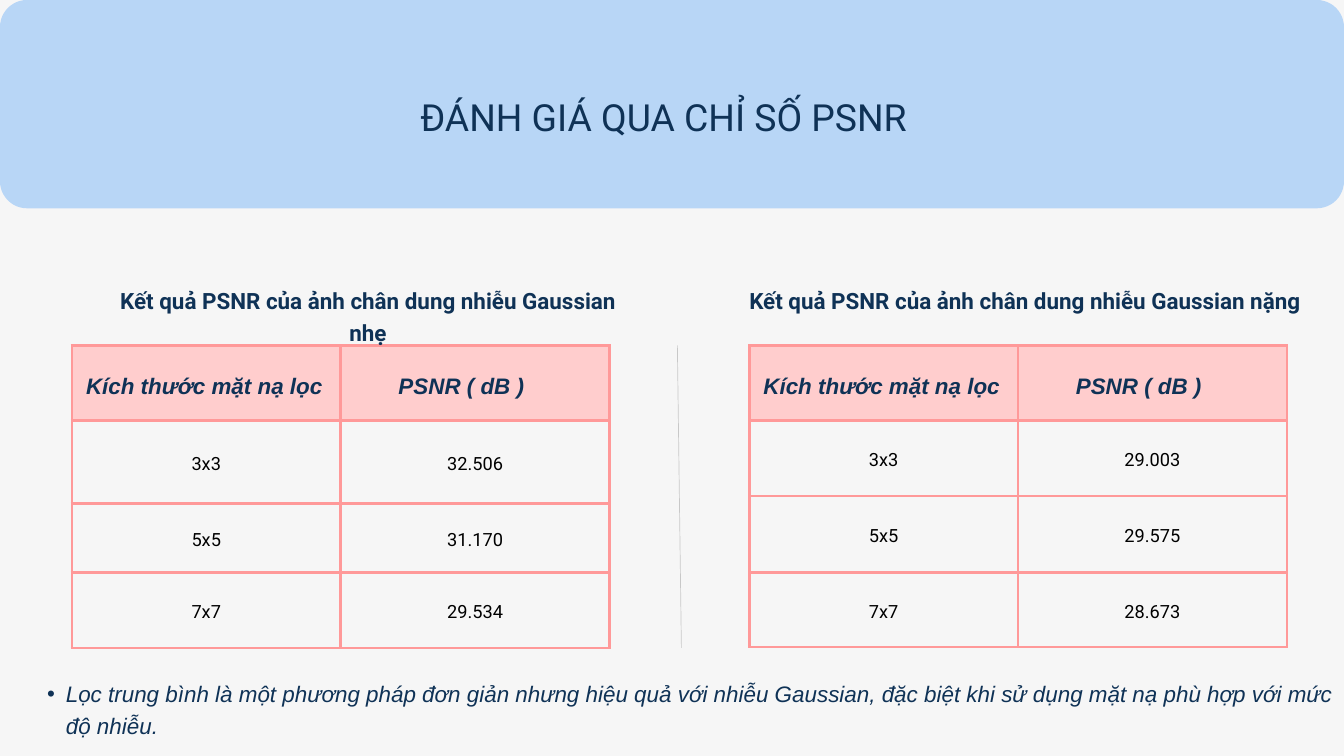
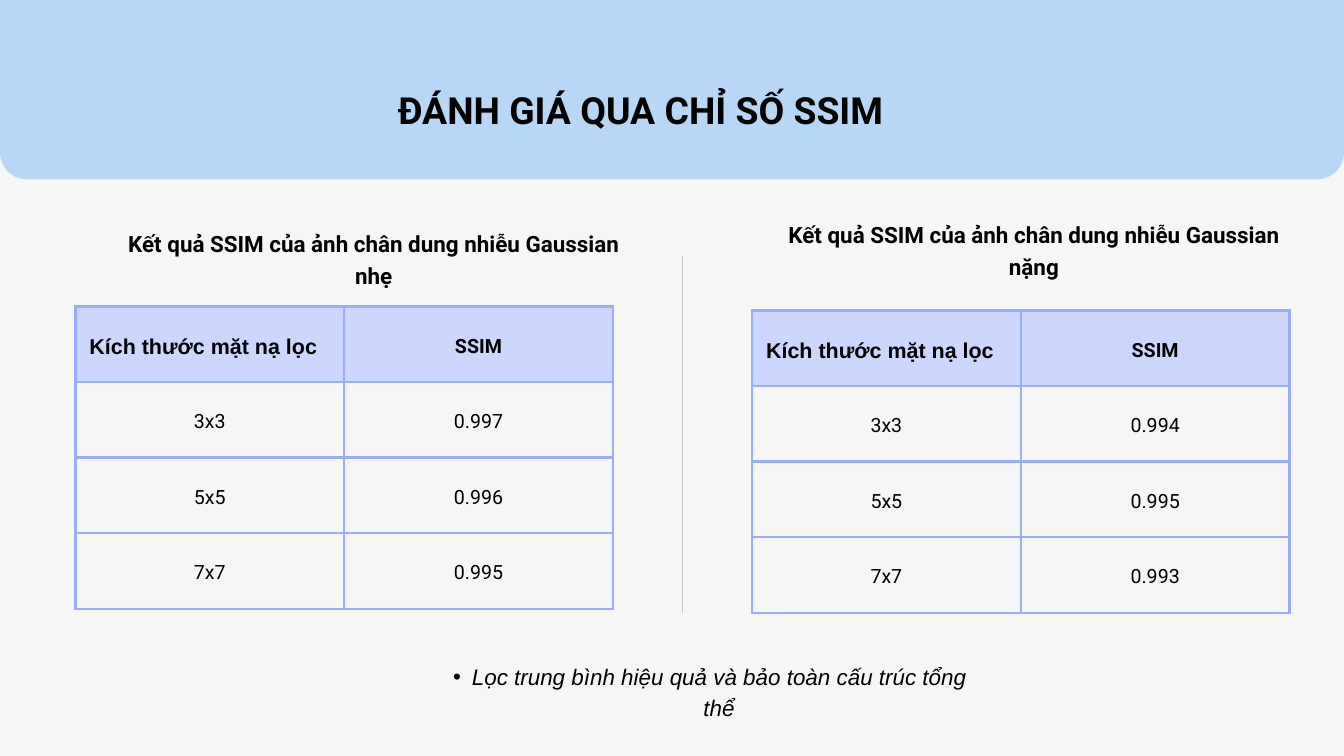
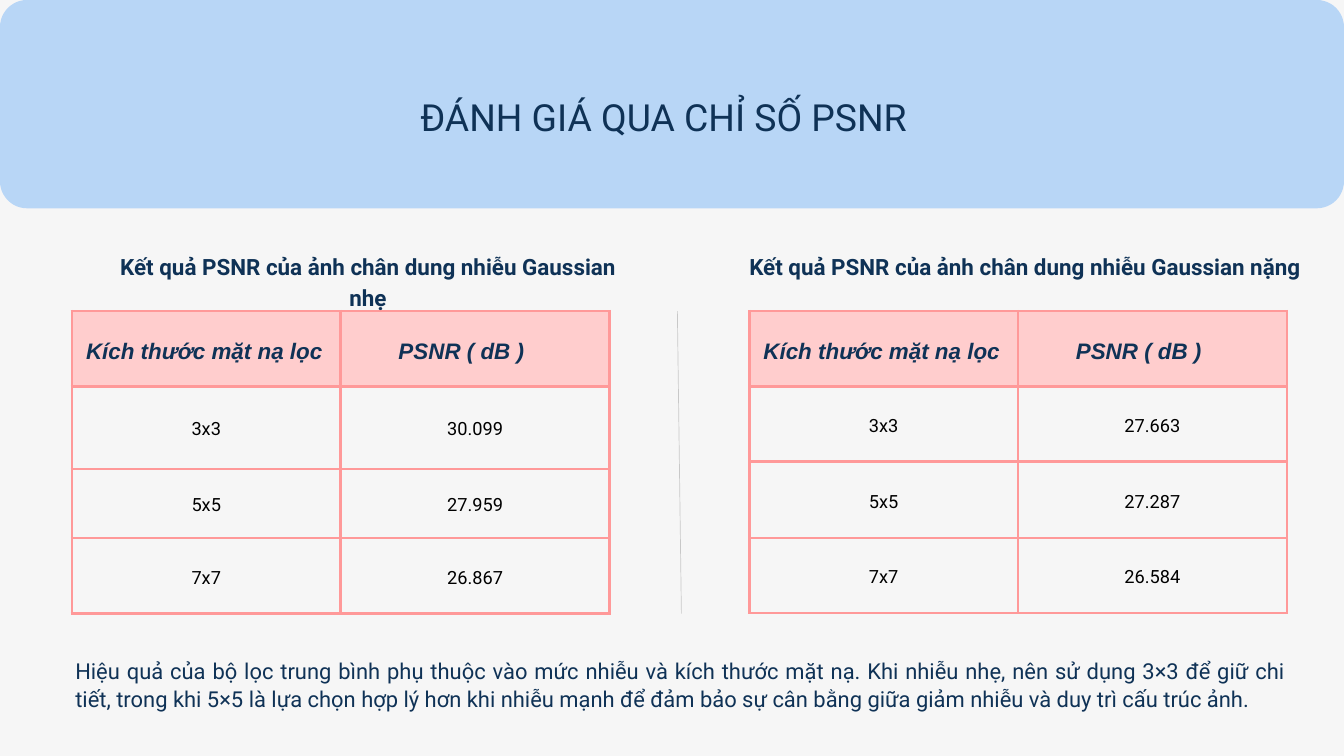
"""Build three slides that compare PSNR and SSIM results of mean filtering."""
from lxml import etree
from pptx import Presentation
from pptx import util as u
from pptx.dml.color import RGBColor
from pptx.enum import shapes, text
from pptx.oxml import ns

PAPER = RGBColor(0xF6, 0xF6, 0xF6)
SKY = RGBColor(0xB8, 0xD6, 0xF6)
NAVY = RGBColor(0x0F, 0x32, 0x56)
BLACK = RGBColor(0, 0, 0)
GREY = RGBColor(0xC8, 0xC8, 0xC8)
PINK = RGBColor(0xFF, 0xCD, 0xCD)
CORAL = RGBColor(0xFF, 0x99, 0x99)
LILAC = RGBColor(0xCD, 0xD6, 0xFF)
PERIWINKLE = RGBColor(0x99, 0xAC, 0xFF)

LEFT = text.PP_ALIGN.LEFT
CENTER = text.PP_ALIGN.CENTER
JUSTIFY = text.PP_ALIGN.JUSTIFY
MASKS = ["3x3", "5x5", "7x7"]
MASK_HEADING = "Kích thước mặt nạ lọc"
CAPTION = "Kết quả {} của ảnh chân dung nhiễu Gaussian {}"
EVEN_ROWS = [4.5 / 4] * 4


def add_xml(parent, tag, **attributes):
    return etree.SubElement(parent, ns.qn(tag), attributes)


def write(frame, words, size=24, font="Roboto", color=NAVY, bold=False, italic=False,
          align=CENTER, leading=1.4, bullet=None, indent=0.0, hanging=0.0):
    """Write one formatted paragraph; leading is a multiple of the size."""
    para = frame.paragraphs[0]
    para.alignment = align
    para.line_spacing = u.Pt(round(size * leading, 1))
    para.space_before = u.Pt(0)
    properties = para._p.get_or_add_pPr()
    properties.set("marL", str(u.Inches(indent)))
    properties.set("indent", str(u.Inches(-hanging)))
    if bullet:
        para.level = 1
        add_xml(properties, "a:buFont", typeface="Arial")
        add_xml(properties, "a:buChar", char=bullet)
    else:
        add_xml(properties, "a:buNone")
    span = para.add_run()
    span.text = words
    span.font.size = u.Pt(size)
    span.font.name = font
    span.font.color.rgb = color
    span.font.bold = bold
    span.font.italic = italic


class Sheet:
    """Hold the colours of a slide and add its elements."""

    def __init__(self, deck, ink, head_fill, border):
        self.ink, self.head_fill, self.border = ink, head_fill, border
        self.page = deck.slides.add_slide(deck.slide_layouts[1])
        self.page.background.fill.solid()
        self.page.background.fill.fore_color.rgb = PAPER

    def band(self, top):
        box = self.page.shapes.add_shape(
            shapes.MSO_SHAPE.ROUNDED_RECTANGLE, 0, u.Inches(top), u.Inches(20), u.Inches(3.1))
        box.adjustments[0] = 0.13
        box.shadow.inherit = False
        box.fill.solid()
        box.fill.fore_color.rgb = SKY
        box.line.fill.background()
        self.page.shapes.title._element.addprevious(box._element)

    def fill_box(self, box, place, words, **style):
        box.left, box.top, box.width, box.height = map(u.Inches, place)
        frame = box.text_frame
        frame.margin_left = frame.margin_right = frame.margin_top = frame.margin_bottom = 0
        frame.word_wrap = True
        frame.vertical_anchor = text.MSO_ANCHOR.TOP
        frame.auto_size = text.MSO_AUTO_SIZE.SHAPE_TO_FIT_TEXT
        write(frame, words, **{"color": self.ink, **style})

    def title(self, place, words, **style):
        self.fill_box(self.page.shapes.title, place, words, size=40, **style)

    def note(self, place, words, **style):
        self.fill_box(self.page.placeholders[1], place, words, **style)

    def bullet_note(self, place, words, align):
        self.note(place, words, font="Arial", italic=True, align=align,
                  bullet="•", indent=0.57, hanging=0.28)

    def caption(self, place, words):
        self.fill_box(self.page.shapes.add_textbox(0, 0, 0, 0), place, words, bold=True)

    def divider(self, x1, y1, x2, y2):
        line = self.page.shapes.add_connector(
            shapes.MSO_CONNECTOR.STRAIGHT, *map(u.Inches, (x1, y1, x2, y2)))
        line.line.color.rgb = GREY
        line.line.width = u.Pt(0.75)
        add_xml(line._element.spPr, "a:effectLst")

    def outline(self, cell):
        for side in ("a:lnL", "a:lnR", "a:lnT", "a:lnB"):
            edge = add_xml(cell._tc.get_or_add_tcPr(), side, w=str(u.Pt(3)))
            add_xml(add_xml(edge, "a:solidFill"), "a:srgbClr", val=str(self.border))

    def results(self, left, top, heights, headings, values, body_size):
        frame = self.page.shapes.add_table(
            4, 2, u.Inches(left), u.Inches(top), u.Inches(8), u.Inches(sum(heights)))
        table = frame.table
        table.first_row = table.horz_banding = False
        for row, height in zip(table.rows, heights):
            row.height = u.Inches(height)
        body = [(words, {"size": body_size, "color": BLACK})
                for pair in zip(MASKS, values) for words in pair]
        for index, (cell, (words, style)) in enumerate(zip(table.iter_cells(), headings + body)):
            cell.margin_left = cell.margin_right = u.Inches(0.21)
            cell.margin_top = cell.margin_bottom = u.Inches(0.21)
            cell.vertical_anchor = text.MSO_ANCHOR.MIDDLE
            self.outline(cell)
            if index < 2:
                cell.fill.solid()
                cell.fill.fore_color.rgb = self.head_fill
            else:
                cell.fill.background()
            write(cell.text_frame, words, **style)


def add_psnr(deck, top, light, heavy):
    """Add a PSNR slide whose tables start at the given top."""
    sheet = Sheet(deck, NAVY, PINK, CORAL)
    sheet.band(0)
    sheet.title((6.25, 1.29, 7.25, 0.74), "ĐÁNH GIÁ QUA CHỈ SỐ PSNR")
    sheet.divider(10.08, top, 10.14, top + 4.5)
    head = {"font": "Arial", "bold": True, "italic": True, "align": LEFT}
    headings = [(MASK_HEADING, head), ("PSNR ( dB )", {**head, "indent": 0.65})]
    sheet.results(11.15, top, [1.12, 1.12, 1.14, 1.11], headings, heavy, 19.5)
    sheet.results(1.07, top, [1.12, 1.23, 1.03, 1.12], headings, light, 19.5)
    sheet.caption((1.47, top - 0.93, 8.01, 0.45), CAPTION.format("PSNR", "nhẹ"))
    sheet.caption((11.15, top - 0.93, 8.2, 0.45), CAPTION.format("PSNR", "nặng"))
    return sheet


def add_ssim(deck, light, heavy):
    """Add the SSIM slide."""
    sheet = Sheet(deck, BLACK, LILAC, PERIWINKLE)
    sheet.band(-0.43)
    sheet.title((-0.47, 1.18, 20, 0.74), "ĐÁNH GIÁ QUA CHỈ SỐ SSIM", bold=True)
    sheet.divider(10.16, 3.81, 10.16, 9.12)
    head = {"color": BLACK, "bold": True}
    headings = [(MASK_HEADING, {**head, "size": 23, "font": "Arial", "align": LEFT}),
                ("SSIM", {**head, "size": 21})]
    sheet.results(1.12, 4.56, EVEN_ROWS, headings, light, 21)
    sheet.results(11.19, 4.62, EVEN_ROWS, headings, heavy, 21)
    sheet.caption((1.59, 3.36, 7.94, 0.45), CAPTION.format("SSIM", "nhẹ"))
    sheet.caption((11.58, 3.23, 7.61, 0.91), CAPTION.format("SSIM", "nặng"))
    return sheet


def main():
    """Build and save the deck."""
    deck = Presentation()
    deck.slide_width, deck.slide_height = u.Inches(20), u.Inches(11.25)

    sheet = add_psnr(deck, 5.14, ["32.506", "31.170", "29.534"], ["29.003", "29.575", "28.673"])
    sheet.bullet_note(
        (0.41, 10.06, 19.83, 0.91),
        "Lọc trung bình là một phương pháp đơn giản nhưng hiệu quả với nhiễu Gaussian, "
        "đặc biệt khi sử dụng mặt nạ phù hợp với mức độ nhiễu.", LEFT)

    sheet = add_ssim(deck, ["0.997", "0.996", "0.995"], ["0.994", "0.995", "0.993"])
    sheet.bullet_note((6.27, 9.8, 8.29, 0.91),
                      "Lọc trung bình hiệu quả và bảo toàn cấu trúc tổng thể", CENTER)

    sheet = add_psnr(deck, 4.63, ["30.099", "27.959", "26.867"], ["27.663", "27.287", "26.584"])
    sheet.note(
        (1.12, 9.75, 18.02, 0.84),
        "Hiệu quả của bộ lọc trung bình phụ thuộc vào mức nhiễu và kích thước mặt nạ. "
        "Khi nhiễu nhẹ, nên sử dụng 3×3 để giữ chi tiết, trong khi 5×5 là lựa chọn hợp lý hơn "
        "khi nhiễu mạnh để đảm bảo sự cân bằng giữa giảm nhiễu và duy trì cấu trúc ảnh.",
        size=23.5, align=JUSTIFY, leading=1.3)

    deck.save("out.pptx")


if __name__ == "__main__":
    main()
